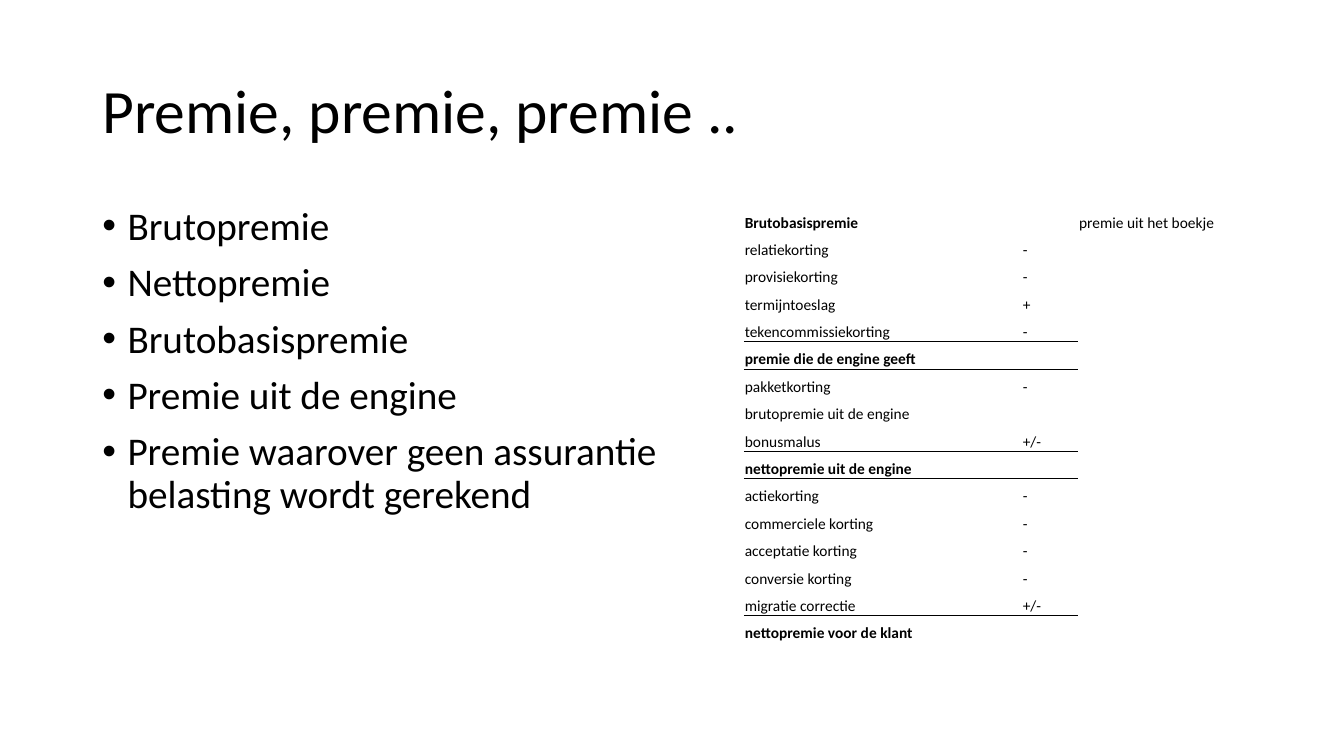
from dataclasses import dataclass
from typing import NamedTuple

from lxml import etree
from pptx import Presentation
from pptx import util as u
from pptx.dml import color
from pptx.enum import text
from pptx.oxml import ns


@dataclass(frozen=True)
class Theme:
    font: str = "Calibri"
    ink: str = "000000"
    title_size: float = 44
    bullet_size: float = 28
    table_size: float = 11
    rule_width: float = 0.5
    plain_table: str = "{2D5ABB26-0587-4C30-8999-92F81FD0307C}"


class Area(NamedTuple):
    column: float
    row: float
    columns: float
    rows: float


@dataclass(frozen=True)
class PremiumLine:
    label: str
    sign: str = ""
    remark: str = ""
    total: bool = False


THEME = Theme()
GRID_COLUMNS, GRID_ROWS = 160, 90
TITLE_AREA = Area(11, 4.8, 138, 17.4)
BULLET_AREA = Area(11, 24, 70.2, 57.1)
TABLE_AREA = Area(88.55, 21.75, 60.4, 54.85)
TABLE_COLUMNS = (33.1, 6.7, 10.3, 10.3)
HEADER_ROWS = 5.9
RULED_COLUMNS = 2

BULLETS = (
    "Brutopremie",
    "Nettopremie",
    "Brutobasispremie",
    "Premie uit de engine",
    "Premie waarover geen assurantie belasting wordt gerekend",
)
PREMIUM_LINES = (
    PremiumLine("Brutobasispremie", remark="premie uit het boekje", total=True),
    PremiumLine("relatiekorting", "-"),
    PremiumLine("provisiekorting", "-"),
    PremiumLine("termijntoeslag", "+"),
    PremiumLine("tekencommissiekorting", "-"),
    PremiumLine("premie die de engine geeft", total=True),
    PremiumLine("pakketkorting", "-"),
    PremiumLine("brutopremie uit de engine"),
    PremiumLine("bonusmalus", "+/-"),
    PremiumLine("nettopremie uit de engine", total=True),
    PremiumLine("actiekorting", "-"),
    PremiumLine("commerciele korting", "-"),
    PremiumLine("acceptatie korting", "-"),
    PremiumLine("conversie korting", "-"),
    PremiumLine("migratie correctie", "+/-"),
    PremiumLine("nettopremie voor de klant", total=True),
)

deck = Presentation()
deck.slide_width, deck.slide_height = u.Inches(13.33), u.Inches(7.5)


def across(columns: float) -> int:
    return round(deck.slide_width * columns / GRID_COLUMNS)


def down(rows: float) -> int:
    return round(deck.slide_height * rows / GRID_ROWS)


def frame(area: Area) -> tuple[int, int, int, int]:
    return across(area.column), down(area.row), across(area.columns), down(area.rows)


def format_para(para, size: float, bold: bool = False) -> None:
    para.alignment = text.PP_ALIGN.LEFT
    for span in para.runs:
        span.font.name = THEME.font
        span.font.size = u.Pt(size)
        span.font.bold = bold
        span.font.color.rgb = color.RGBColor.from_string(THEME.ink)
    if not para.runs:
        end = etree.SubElement(para._p, ns.qn("a:endParaRPr"))
        end.set("sz", str(round(size * 100)))


def add_bullet(para) -> None:
    properties = para._p.get_or_add_pPr()
    indent = u.Inches(0.25)
    properties.set("marL", str(indent))
    properties.set("indent", str(-indent))
    etree.SubElement(properties, ns.qn("a:buFont")).set("typeface", "Arial")
    etree.SubElement(properties, ns.qn("a:buChar")).set("char", "•")


def add_rule(cell, side: str) -> None:
    line = etree.SubElement(cell._tc.get_or_add_tcPr(), ns.qn(f"a:{side}"))
    line.set("w", str(u.Pt(THEME.rule_width)))
    fill = etree.SubElement(line, ns.qn("a:solidFill"))
    etree.SubElement(fill, ns.qn("a:srgbClr")).set("val", THEME.ink)


def draw_title(page, wording: str) -> None:
    title = page.shapes.title
    title.left, title.top, title.width, title.height = frame(TITLE_AREA)
    title.text_frame.text = wording
    title.text_frame.vertical_anchor = text.MSO_ANCHOR.MIDDLE
    para = title.text_frame.paragraphs[0]
    para.line_spacing = 0.9
    format_para(para, THEME.title_size)


def draw_bullets(page) -> None:
    box = page.shapes.add_textbox(*frame(BULLET_AREA))
    box.text_frame.word_wrap = True
    box.text_frame.text = "\n".join(BULLETS)
    for para in box.text_frame.paragraphs:
        para.line_spacing = 0.9
        para.space_before = u.Pt(10)
        format_para(para, THEME.bullet_size)
        add_bullet(para)


def fill_cell(cell, wording: str, bold: bool) -> None:
    cell.text_frame.text = wording
    cell.vertical_anchor = text.MSO_ANCHOR.BOTTOM
    cell.margin_left = cell.margin_right = cell.margin_top = u.Inches(0.01)
    cell.margin_bottom = 0
    format_para(cell.text_frame.paragraphs[0], THEME.table_size, bold)
    cell.fill.background()


def draw_table(page) -> None:
    count = len(PREMIUM_LINES)
    table = page.shapes.add_table(count, len(TABLE_COLUMNS), *frame(TABLE_AREA)).table
    table.first_row = table.horz_banding = False
    table._tbl.tblPr.find(ns.qn("a:tableStyleId")).text = THEME.plain_table
    for column, width in zip(table.columns, TABLE_COLUMNS):
        column.width = across(width)
    line_rows = (TABLE_AREA.rows - HEADER_ROWS) / (count - 1)
    for index, line in enumerate(PREMIUM_LINES):
        table.rows[index].height = down(line_rows if index else HEADER_ROWS)
        closes = index + 1 < count and PREMIUM_LINES[index + 1].total
        for position, wording in enumerate((line.label, line.sign, line.remark, "")):
            cell = table.cell(index, position)
            if position < RULED_COLUMNS:
                if index and line.total:
                    add_rule(cell, "lnT")
                if closes:
                    add_rule(cell, "lnB")
            fill_cell(cell, wording, line.total and position == 0)
    table.cell(0, 2).merge(table.cell(0, 3))


page = deck.slides.add_slide(deck.slide_layouts[5])
draw_title(page, "Premie, premie, premie ..")
draw_bullets(page)
draw_table(page)
deck.save("out.pptx")
